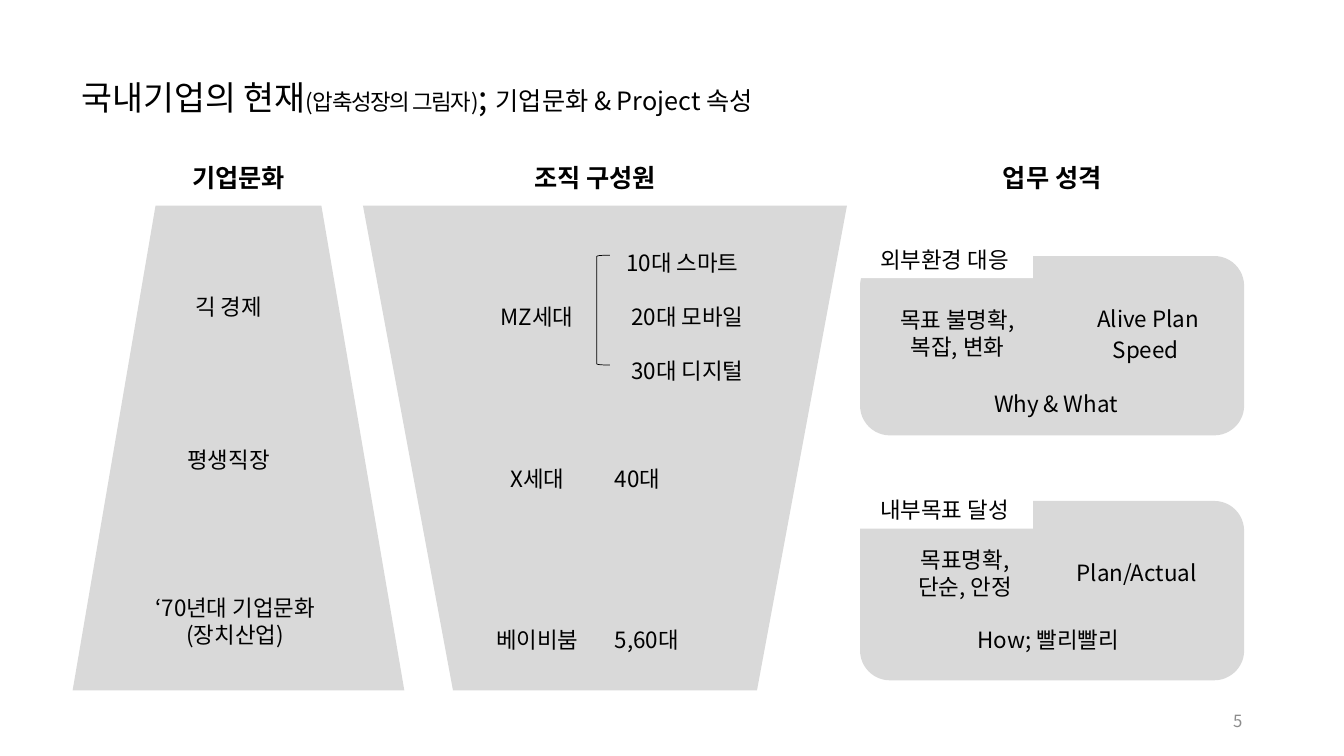
from lxml.etree import SubElement
from pptx import Presentation
from pptx.dml.color import RGBColor
from pptx.enum.shapes import MSO_SHAPE
from pptx.enum.text import MSO_ANCHOR, PP_ALIGN
from pptx.oxml.ns import qn
from pptx.util import Inches, Pt

COLORS = {"ink": "000000", "panel": "D9D9D9", "paper": "FFFFFF", "muted": "8C8C8C"}
FONT = "Noto Sans CJK KR"
W, H = 13.33, 7.5
ROWS = 9
LINE = 0.37
HEADING_ROW = -0.52


def rgb(name):
    """Return the named colour."""
    return RGBColor.from_string(COLORS[name])


def style(p, size, color="ink", bold=False, align=PP_ALIGN.CENTER):
    """Set alignment and the Latin and East Asian font of a paragraph."""
    p.alignment = align
    p.font.size, p.font.bold = Pt(size), bold
    p.font.color.rgb = rgb(color)
    p.font.name = FONT
    SubElement(p._p.pPr.find(qn("a:defRPr")), qn("a:ea"), typeface=FONT)


def label(s, cx, cy, w, text, size=16, fill=None, **look):
    """Add one text box, centred on a point, with a paragraph per line."""
    lines = text.split("\n")
    h = LINE + 0.27 * (len(lines) - 1)
    sp = s.shapes.add_textbox(Inches(cx - w / 2), Inches(cy - h / 2), Inches(w), Inches(h))
    if fill:
        sp.fill.solid()
        sp.fill.fore_color.rgb = rgb(fill)
    tf = sp.text_frame
    tf.word_wrap, tf.vertical_anchor = True, MSO_ANCHOR.MIDDLE
    for i, line in enumerate(lines):
        p = tf.add_paragraph() if i else tf.paragraphs[0]
        p.text = line
        style(p, size, **look)


def block(s, kind, box, adj=None, turn=0):
    """Add a plain grey shape filling the box."""
    sp = s.shapes.add_shape(kind, *map(Inches, box))
    sp.shadow.inherit = False
    sp.fill.solid()
    sp.fill.fore_color.rgb = rgb("panel")
    sp.line.fill.background()
    sp.rotation = turn
    if adj:
        sp.adjustments[0] = adj


def column_labels(s, box, heading, items):
    """Place a bold heading and items given as share of width, row, width share, text."""
    x, y, w, h = box
    row = h / ROWS
    cx, share, text = heading
    label(s, x + cx * w, y + HEADING_ROW * row, share * w, text, 18, bold=True)
    for cx, r, share, text, align in items:
        label(s, x + cx * w, y + r * row, share * w, text, align=align)


def title(s, box):
    """Add the title line with its runs of different sizes."""
    tf = s.shapes.add_textbox(*map(Inches, box)).text_frame
    tf.word_wrap = False
    p = tf.paragraphs[0]
    style(p, 24, align=PP_ALIGN.LEFT)
    for text, size, spacing in (("국내기업의 현재", 24, 0), ("(압축성장의 그림자)", 16, -100),
                                ("; ", 24, 0), ("기업문화 & Project 속성", 18, 0)):
        r = p.add_run()
        r.text, r.font.size = text, Pt(size)
        if spacing:
            r.font._element.set("spc", str(spacing))


def culture(s, box):
    """Draw the corporate culture trapezoid and its labels."""
    block(s, MSO_SHAPE.TRAPEZOID, box, 0.25)
    mid = PP_ALIGN.CENTER
    column_labels(s, box, (0.5, 0.43, "기업문화"), (
        (0.47, 1.88, 0.43, "긱 경제", mid),
        (0.47, 4.71, 0.52, "평생직장", mid),
        (0.49, 7.71, 0.78, "‘70년대 기업문화\n(장치산업)", mid)))


def members(s, box):
    """Draw the inverted trapezoid of generations with the age bracket."""
    x, y, w, h = box
    block(s, MSO_SHAPE.TRAPEZOID, box, 0.186, 180)
    mid, left = PP_ALIGN.CENTER, PP_ALIGN.LEFT
    cells = ((0.36, 1, "MZ세대", mid), (0.36, 4, "X세대", mid), (0.36, 7, "베이비붐", mid),
             (0.66, 0, "10대 스마트", mid), (0.67, 1, "20대 모바일", mid),
             (0.67, 2, "30대 디지털", mid), (0.7, 4, "40대", left), (0.7, 7, "5,60대", left))
    column_labels(s, box, (0.48, 0.35, "조직 구성원"),
                  [(cx, r + 1.06, 0.4, text, align) for cx, r, text, align in cells])
    row = h / ROWS
    bracket = s.shapes.add_shape(MSO_SHAPE.LEFT_BRACKET, Inches(x + 0.483 * w),
                                 Inches(y + 0.92 * row), Inches(0.13), Inches(2.04 * row))
    bracket.shadow.inherit = False
    bracket.fill.background()
    bracket.line.color.rgb = rgb("ink")
    bracket.line.width = Pt(0.5)


def work_panel(s, box, tag, items):
    """Draw a rounded panel, its corner tag and labels placed by shares of the box."""
    x, y, w, h = box
    block(s, MSO_SHAPE.ROUNDED_RECTANGLE, box)
    for cx, cy, share, text in items:
        label(s, x + cx * w, y + cy * h, share * w, text)
    cy, text = tag
    label(s, x + 0.22 * w, y + cy * h, 0.46 * w, text, fill="paper")


def work(s, box):
    """Place the work heading and its two panels."""
    x, y, w, h = box
    column_labels(s, box, (0.5, 0.37, "업무 성격"), ())
    work_panel(s, (x, y + 0.5, w, 0.37 * h), (0.02, "외부환경 대응"), (
        (0.26, 0.43, 0.59, "목표 불명확, \n복잡, 변화 "),
        (0.75, 0.35, 0.43, "Alive Plan"),
        (0.75, 0.52, 0.43, "Speed "),
        (0.51, 0.82, 0.55, "Why & What")))
    work_panel(s, (x, y + 2.93, w, 0.37 * h), (0.05, "내부목표 달성"), (
        (0.28, 0.4, 0.43, "목표명확, \n단순, 안정 "),
        (0.72, 0.4, 0.48, "Plan/Actual"),
        (0.49, 0.77, 0.46, "How; 빨리빨리")))


def main():
    """Build and save the slide."""
    prs = Presentation()
    prs.slide_width, prs.slide_height = Inches(W), Inches(H)
    s = prs.slides.add_slide(prs.slide_layouts[6])
    top, height = 2.04, 4.81
    title(s, (0.71, 0.71, 7.5, 0.5))
    culture(s, (0.72, top, 3.29, height))
    members(s, (3.6, top, 4.8, height))
    work(s, (8.53, top, 3.81, height))
    label(s, 10.92, 7.15, 3, "5", 12, color="muted", align=PP_ALIGN.RIGHT)
    prs.save("out.pptx")


if __name__ == "__main__":
    main()
